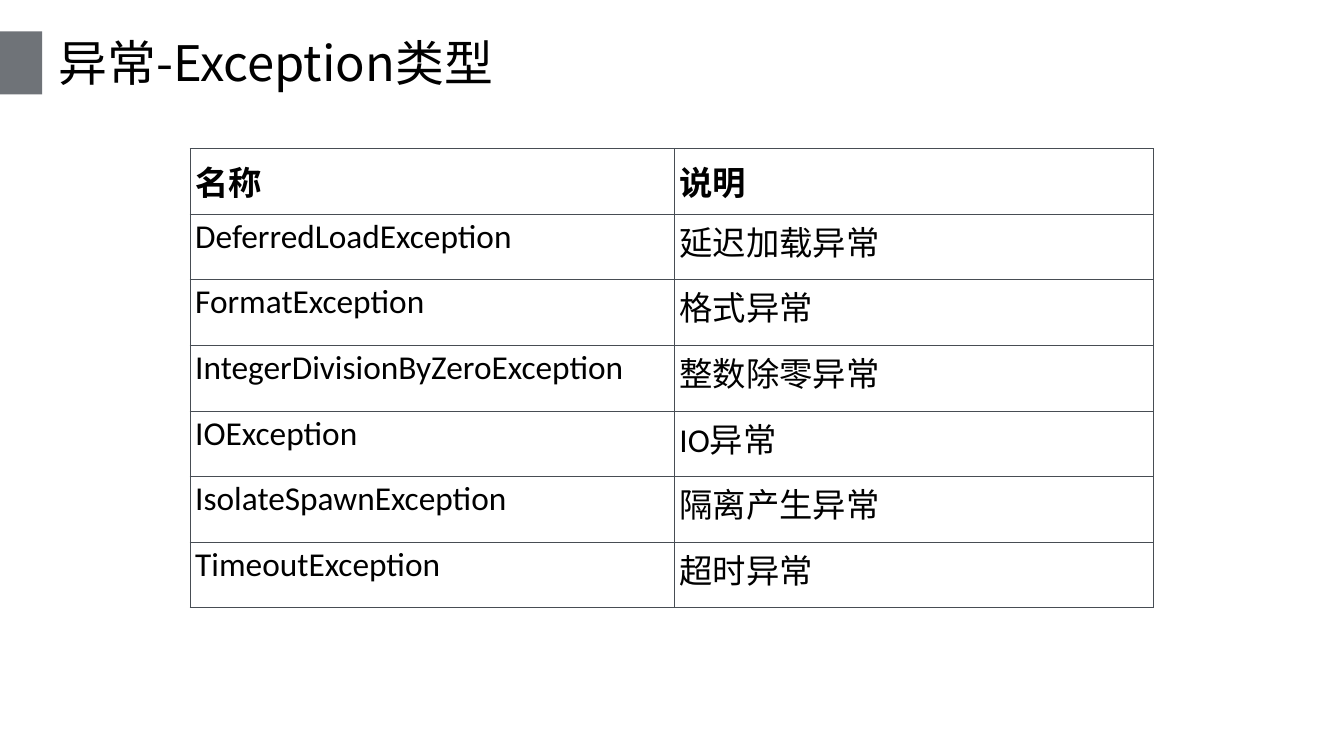
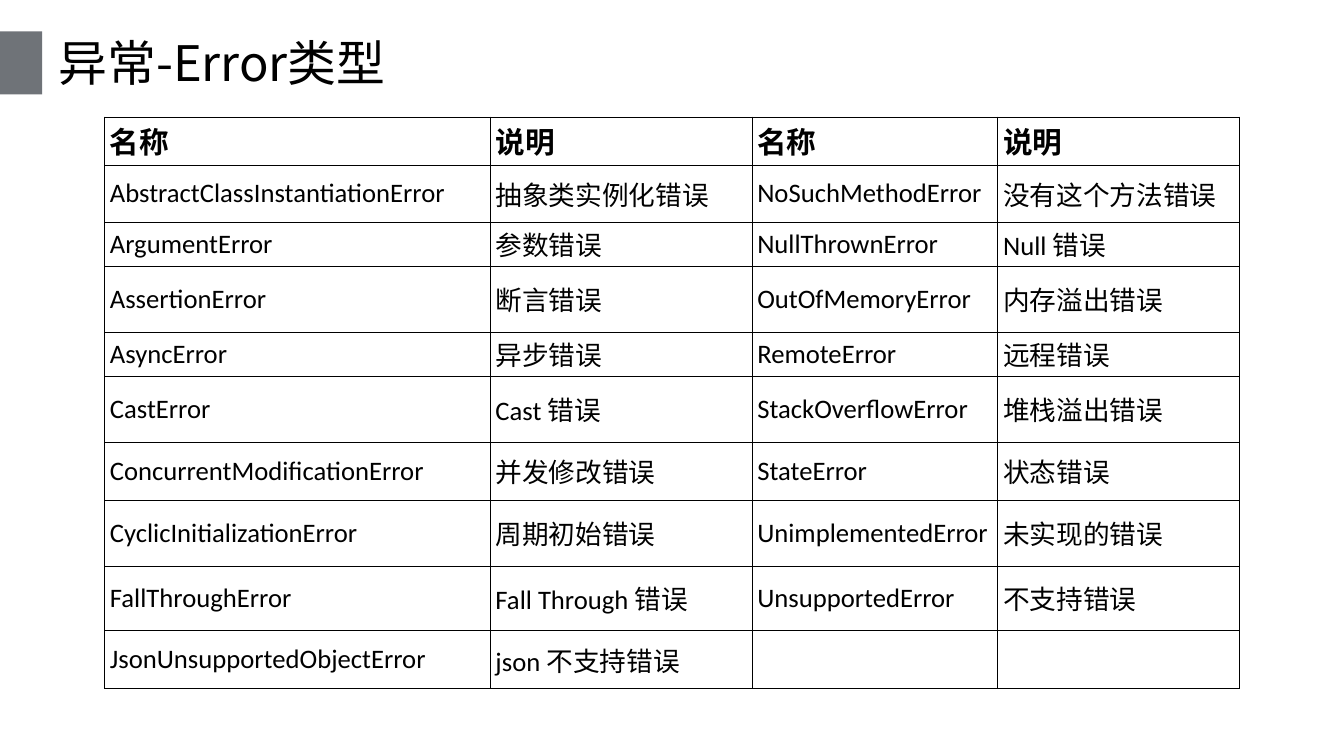
from dataclasses import dataclass

from lxml.etree import SubElement as Sub
from pptx import Presentation
from pptx.dml.color import RGBColor
from pptx.enum.shapes import MSO_SHAPE as Kind
from pptx.enum.text import MSO_ANCHOR as Anchor, MSO_AUTO_SIZE as Fit, PP_ALIGN as Align
from pptx.oxml.ns import qn
from pptx.slide import Slide
from pptx.table import _Cell as Cell
from pptx.util import Inches, Pt

WIDE, HIGH = Inches(25.2), Inches(14.17)
BLACK, GREY, SLATE = "000000", "6F7378", "474D54"
SANS, BODY = "Noto Sans CJK SC", "Calibri"


@dataclass(frozen=True)
class Box:
    """A place on the slide, in percent of its width and height."""
    left: float
    top: float
    wide: float
    high: float

    def place(self) -> tuple[int, int, int, int]:
        """Return left, top, width and height as lengths."""
        return across(self.left), down(self.top), across(self.wide), down(self.high)


@dataclass(frozen=True)
class Grid:
    """A table with its column and row sizes in percent of the slide."""
    title: str
    left: float
    top: float
    cols: tuple[float, ...]
    rows: tuple[float, ...]
    head: int
    size: int
    line: str
    weight: float
    anchor: Anchor
    cells: tuple[tuple[str, ...], ...]


BAND = Box(0, 4.16, 3.13, 8.33)
TITLE = Box(3.13, 4.02, 93.73, 8.47)
LABELS = ("名称", "说明")

GRIDS = (
    Grid(" 异常-Exception类型", 14.13, 19.62, (36.03, 35.67), (8.68,) * 7,
         45, 45, SLATE, 0.75, Anchor.TOP, (
             LABELS,
             ("DeferredLoadException", "延迟加载异常"),
             ("FormatException", "格式异常"),
             ("IntegerDivisionByZeroException", "整数除零异常"),
             ("IOException", "IO异常"),
             ("IsolateSpawnException", "隔离产生异常"),
             ("TimeoutException", "超时异常"))),
    Grid(" 异常-Error类型", 7.78, 15.46, (28.69, 19.48, 18.29, 17.94),
         (5.15, 7.55, 5.15, 8.75, 5.15, 8.75, 7.62, 8.75, 8.54, 7.62),
         40, 36, BLACK, 1, Anchor.MIDDLE, (
             LABELS * 2,
             ("AbstractClassInstantiationError", "抽象类实例化错误",
              "NoSuchMethodError", "没有这个方法错误"),
             ("ArgumentError", "参数错误", "NullThrownError", "Null 错误"),
             ("AssertionError", "断言错误", "OutOfMemoryError", "内存溢出错误"),
             ("AsyncError", "异步错误", "RemoteError", "远程错误"),
             ("CastError", "Cast 错误", "StackOverflowError", "堆栈溢出错误"),
             ("ConcurrentModificationError", "并发修改错误", "StateError", "状态错误"),
             ("CyclicInitializationError", "周期初始错误",
              "UnimplementedError", "未实现的错误"),
             ("FallThroughError", "Fall Through 错误",
              "UnsupportedError", "不支持错误"),
             ("JsonUnsupportedObjectError", "json 不支持错误", "", ""))),
)


def across(part: float) -> int:
    """Turn a percentage of the slide's width into a length."""
    return round(WIDE * part / 100)


def down(part: float) -> int:
    """Turn a percentage of the slide's height into a length."""
    return round(HIGH * part / 100)


def color(code: str) -> RGBColor:
    """Turn a hex string into a colour."""
    return RGBColor.from_string(code)


def write(frame, text: str, face: str, size: int, bold: bool = False) -> None:
    """Put one left-aligned black paragraph into a text frame."""
    frame.text = text
    para = frame.paragraphs[0]
    para.alignment = Align.LEFT
    font = para.font
    font.name, font.size, font.bold = face, Pt(size), bold
    font.color.rgb = color(BLACK)


def edge(cell: Cell, code: str, weight: float) -> None:
    """Rule all four sides of a cell."""
    props = cell._tc.get_or_add_tcPr()
    for spot, side in enumerate(("a:lnL", "a:lnR", "a:lnT", "a:lnB")):
        line = Sub(props, qn(side), w=str(Pt(weight)))
        Sub(Sub(line, qn("a:solidFill")), qn("a:srgbClr"), val=code)
        props.insert(spot, line)


def draw_head(slide: Slide, text: str) -> None:
    """Draw the band and the title that every slide has."""
    band = slide.shapes.add_shape(Kind.RECTANGLE, *BAND.place())
    band.shadow.inherit = False
    band.fill.solid()
    band.fill.fore_color.rgb = color(GREY)
    band.line.fill.background()
    title = slide.shapes.title
    title.left, title.top, title.width, title.height = TITLE.place()
    frame = title.text_frame
    frame.auto_size, frame.word_wrap = Fit.NONE, True
    frame.vertical_anchor = Anchor.MIDDLE
    write(frame, text, SANS, 66)


def draw_grid(slide: Slide, grid: Grid) -> None:
    """Draw a ruled table with a bold first row."""
    box = Box(grid.left, grid.top, sum(grid.cols), sum(grid.rows))
    table = slide.shapes.add_table(len(grid.rows), len(grid.cols), *box.place()).table
    table.first_row = table.horz_banding = False
    for col, wide in zip(table.columns, grid.cols):
        col.width = across(wide)
    for row, high, texts in zip(table.rows, grid.rows, grid.cells):
        row.height = down(high)
        top = texts is grid.cells[0]
        for cell, text in zip(row.cells, texts):
            cell.fill.background()
            cell.vertical_anchor = Anchor.MIDDLE if top else grid.anchor
            edge(cell, grid.line, grid.weight)
            write(cell.text_frame, text, BODY, grid.head if top else grid.size, top)


def main() -> None:
    """Build and save the slides."""
    deck = Presentation()
    deck.slide_width, deck.slide_height = WIDE, HIGH
    for grid in GRIDS:
        slide = deck.slides.add_slide(deck.slide_layouts[5])
        draw_head(slide, grid.title)
        draw_grid(slide, grid)
    deck.save("out.pptx")


main()
